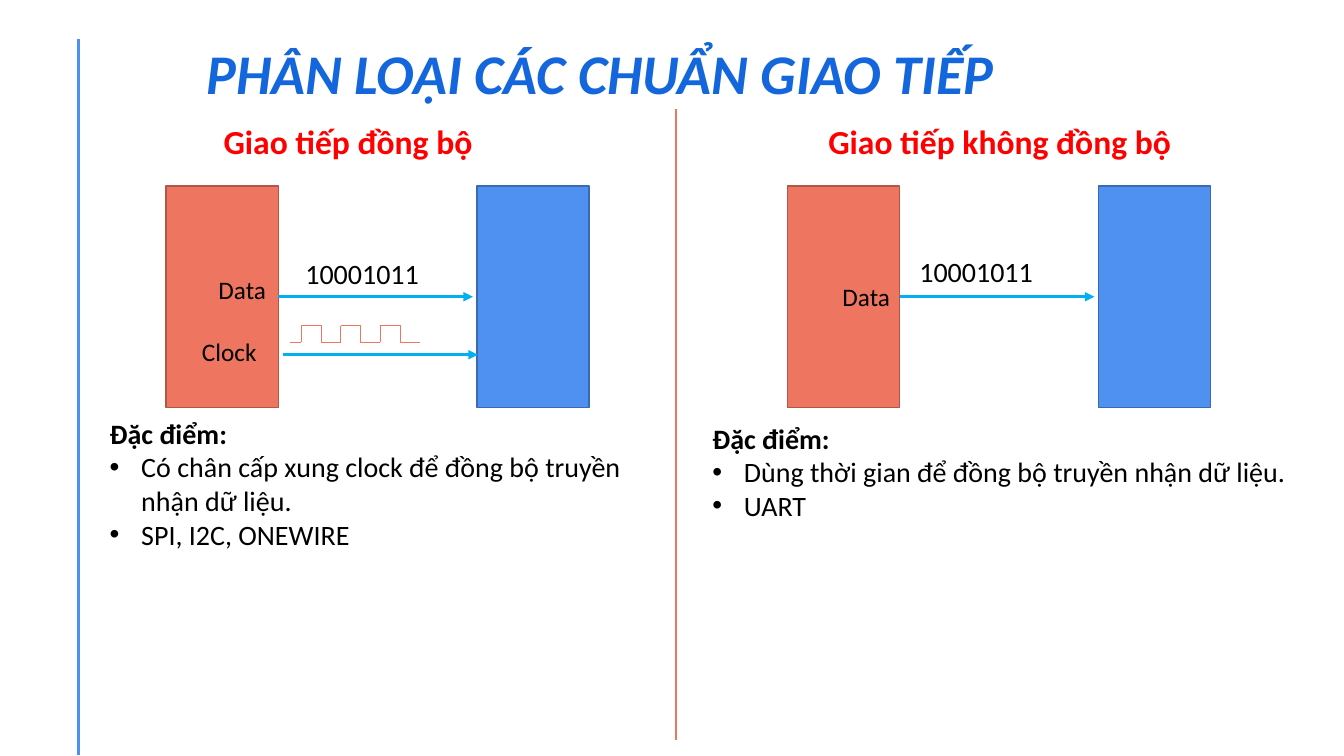
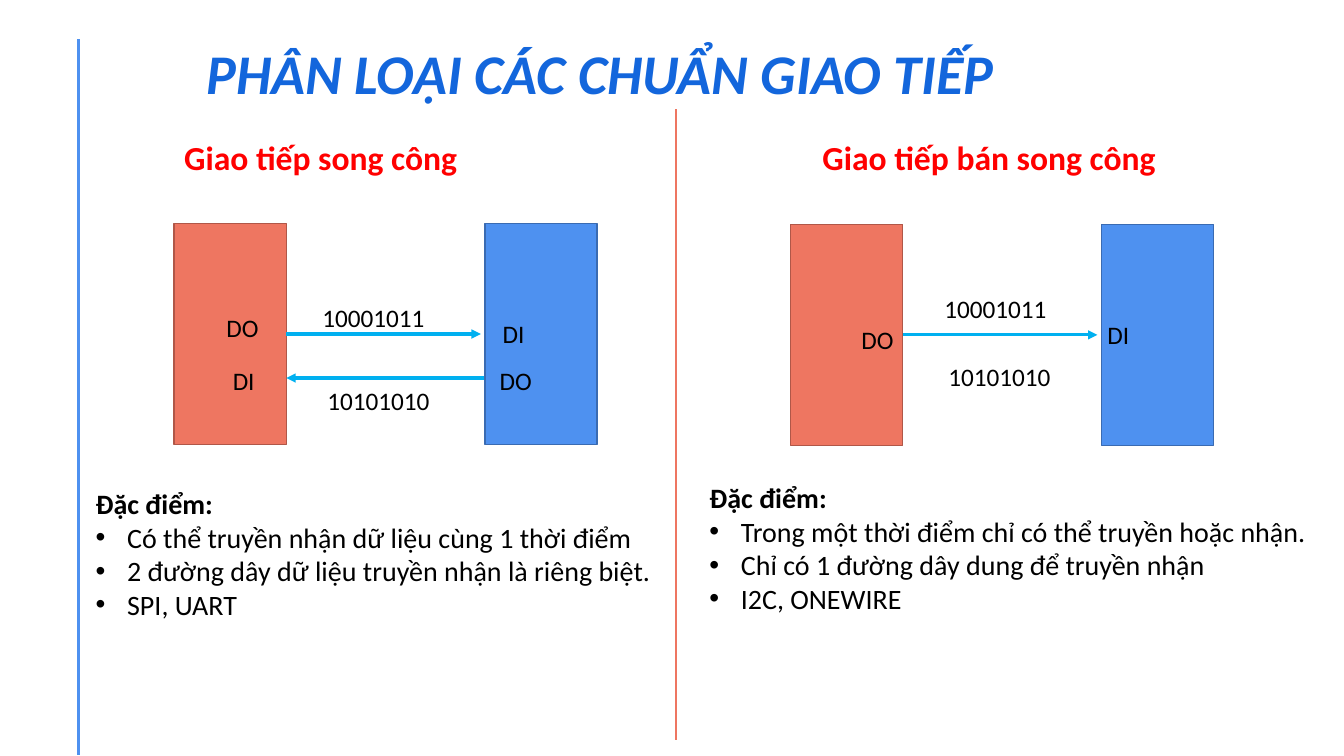
from dataclasses import dataclass
from typing import Any, Optional

import pptx
import pptx.dml.color
import pptx.enum.shapes
import pptx.enum.text
import pptx.oxml.ns
import pptx.util
from lxml import etree

Pt = pptx.util.Pt
RGBColor = pptx.dml.color.RGBColor
Connector = pptx.enum.shapes.MSO_CONNECTOR
Align = pptx.enum.text.PP_ALIGN
qn = pptx.oxml.ns.qn

FONT = "Calibri"
BLACK = RGBColor(0x00, 0x00, 0x00)
RED = RGBColor(0xFF, 0x00, 0x00)
TITLE_BLUE = RGBColor(0x13, 0x66, 0xDC)
CORAL = RGBColor(0xEE, 0x76, 0x61)
CORAL_EDGE = RGBColor(0xB0, 0x57, 0x48)
BLUE = RGBColor(0x4E, 0x91, 0xF0)
BLUE_EDGE = RGBColor(0x3A, 0x6B, 0xB2)
SIGNAL = RGBColor(0x00, 0xB0, 0xF0)

TITLE = "PHÂN LOẠI CÁC CHUẨN GIAO TIẾP"
FEATURES = "Đặc điểm:"
DEVICE_WIDTH, DEVICE_HEIGHT = 80.2, 158
RECEIVER_OFFSET = 222
ARROW_LENGTH = 139
PULSE_WIDTH, PULSE_HEIGHT, PULSE_COUNT = 28.2, 11.8, 3
PULSE_LEAD = 8
BULLET_INDENT = 22.5


@dataclass(frozen=True)
class Box:
    left: float
    top: float
    width: float
    height: float


@dataclass(frozen=True)
class Segment:
    x1: float
    y1: float
    x2: float
    y2: float


@dataclass(frozen=True)
class Label:
    text: str
    left: float
    top: float
    size: float = 18
    width: float = 53.3


@dataclass(frozen=True)
class Panel:
    heading: str
    heading_box: Box
    sender_left: float
    sender_top: float
    labels: tuple[Label, ...]
    features: tuple[str, ...]
    features_box: Box
    extra_arrow: Optional[Segment] = None
    clock_start: Optional[tuple[float, float]] = None


def fill_text(frame: Any, lines: list[str], *, size: float,
              color: RGBColor = BLACK, bold: bool = False,
              italic: bool = False, align: Align = Align.LEFT,
              spacing: Optional[float] = None, after: float = 0,
              bulleted_after_first: bool = False) -> None:
    frame.word_wrap = True
    frame.vertical_anchor = pptx.enum.text.MSO_ANCHOR.TOP
    frame.auto_size = pptx.enum.text.MSO_AUTO_SIZE.NONE
    for index, line in enumerate(lines):
        paragraph = frame.paragraphs[0] if index == 0 else frame.add_paragraph()
        paragraph.alignment = align
        paragraph.space_after = Pt(after)
        if spacing:
            paragraph.line_spacing = spacing
        run = paragraph.add_run()
        run.text = line
        font = run.font
        font.name, font.size = FONT, Pt(size)
        font.bold, font.italic = bold, italic
        font.color.rgb = color
        if bulleted_after_first and index:
            font.bold = False
            add_bullet(paragraph)


def add_bullet(paragraph: Any) -> None:
    properties = paragraph._p.get_or_add_pPr()
    properties.set("marL", str(Pt(BULLET_INDENT)))
    properties.set("indent", str(Pt(-BULLET_INDENT)))
    etree.SubElement(properties, qn("a:buFont"), typeface="Arial")
    etree.SubElement(properties, qn("a:buChar"), char="•")


def add_text(slide: Any, box: Box, lines: list[str], **style: Any) -> None:
    textbox = slide.shapes.add_textbox(
        Pt(box.left), Pt(box.top), Pt(box.width), Pt(box.height))
    fill_text(textbox.text_frame, lines, **style)


def add_line(slide: Any, segment: Segment, color: RGBColor, width: float,
             kind: Connector = Connector.STRAIGHT, arrow: bool = False) -> Any:
    line = slide.shapes.add_connector(
        kind, Pt(segment.x1), Pt(segment.y1), Pt(segment.x2), Pt(segment.y2))
    line.line.color.rgb = color
    line.line.width = Pt(width)
    properties = line.element.spPr
    if arrow:
        etree.SubElement(properties.find(qn("a:ln")), qn("a:tailEnd"), type="triangle")
    etree.SubElement(properties, qn("a:effectLst"))
    return line


def add_device(slide: Any, left: float, top: float,
               fill: RGBColor, edge: RGBColor) -> Any:
    device = slide.shapes.add_shape(
        pptx.enum.shapes.MSO_SHAPE.RECTANGLE,
        Pt(left), Pt(top), Pt(DEVICE_WIDTH), Pt(DEVICE_HEIGHT))
    device.shadow.inherit = False
    device.fill.solid()
    device.fill.fore_color.rgb = fill
    device.line.color.rgb = edge
    device.line.width = Pt(1)
    return device


def add_clock(slide: Any, left: float, top: float) -> None:
    bottom = top + PULSE_HEIGHT
    add_line(slide, Segment(left, bottom, left - PULSE_LEAD, bottom), CORAL, 0.5)
    for index in range(PULSE_COUNT):
        start = left + index * PULSE_WIDTH
        add_line(slide, Segment(start, top, start, bottom), CORAL, 0.5)
        add_line(slide, Segment(start, top, start + PULSE_WIDTH, bottom),
                 CORAL, 0.5, kind=Connector.ELBOW)


def add_panel(slide: Any, panel: Panel) -> None:
    add_text(slide, panel.heading_box, [panel.heading], size=24, color=RED, bold=True)
    sender = add_device(slide, panel.sender_left, panel.sender_top, CORAL, CORAL_EDGE)
    add_device(slide, panel.sender_left + RECEIVER_OFFSET, panel.sender_top,
               BLUE, BLUE_EDGE)
    start = panel.sender_left + DEVICE_WIDTH
    middle = panel.sender_top + DEVICE_HEIGHT / 2
    data_arrow = add_line(slide, Segment(start, middle, start + ARROW_LENGTH, middle),
                          SIGNAL, 2.25, arrow=True)
    data_arrow.begin_connect(sender, 3)
    if panel.extra_arrow:
        add_line(slide, panel.extra_arrow, SIGNAL, 2.25, arrow=True)
    if panel.clock_start:
        add_clock(slide, *panel.clock_start)
    for label in panel.labels:
        add_text(slide, Box(label.left, label.top, label.width, 29),
                 [label.text], size=label.size)
    add_text(slide, panel.features_box, [FEATURES, *panel.features],
             size=20, bold=True, bulleted_after_first=True)


def add_title(slide: Any) -> None:
    title = slide.shapes.title
    title.left, title.top = Pt(140.4), Pt(0)
    title.width, title.height = Pt(703.4), Pt(72.7)
    fill_text(title.text_frame, [TITLE], size=40, color=TITLE_BLUE, bold=True,
              italic=True, align=Align.JUSTIFY, spacing=1.5, after=8)


def move_to_layout(line: Any, layout: Any) -> None:
    line.element.nvCxnSpPr.cNvPr.set("id", "100")
    layout.shapes.element.append(line.element)


SLIDES = (
    (
        Panel(
            "Giao tiếp đồng bộ", Box(152.6, 82.8, 480, 36), 118.6, 133,
            (Label("Data", 149, 192.2),
             Label("Clock", 137.2, 236.8, width=64.8),
             Label("10001011", 211, 180, 20, 106.6)),
            ("Có chân cấp xung clock để đồng bộ truyền nhận dữ liệu.",
             "SPI, I2C, ONEWIRE"),
            Box(71.3, 293.8, 386, 104.4),
            extra_arrow=Segment(202.3, 253.4, 341.3, 253.4),
            clock_start=(215.2, 232.7),
        ),
        Panel(
            "Giao tiếp không đồng bộ", Box(584.6, 82.8, 480, 36), 562.5, 133,
            (Label("Data", 594.7, 197.2),
             Label("10001011", 649.6, 178, 20, 106.6)),
            ("Dùng thời gian để đồng bộ truyền nhận dữ liệu.", "UART"),
            Box(501.8, 297.2, 443.5, 80),
        ),
    ),
    (
        Panel(
            "Giao tiếp song công", Box(124.5, 94.4, 341.3, 36), 124.3, 159.6,
            (Label("DO", 154.6, 219.5),
             Label("DI", 352, 224),
             Label("DO", 349.8, 257.6),
             Label("DI", 159.2, 257.2),
             Label("10001011", 223.2, 212.4, width=106.6),
             Label("10101010", 226.8, 271.6, width=106.6)),
            ("Có thể truyền nhận dữ liệu cùng 1 thời điểm",
             "2 đường dây dữ liệu truyền nhận là riêng biệt.",
             "SPI, UART"),
            Box(61.2, 344, 416.2, 104.4),
            extra_arrow=Segment(345.8, 270, 204.5, 270),
        ),
        Panel(
            "Giao tiếp bán song công", Box(580.4, 94.4, 480, 36), 564.7, 160.2,
            (Label("DO", 608.2, 228.2),
             Label("DI", 784, 224.6),
             Label("10001011", 667.5, 206, width=106.6),
             Label("10101010", 670.3, 254.2, width=106.6)),
            ("Trong một thời điểm chỉ có thể truyền hoặc nhận.",
             "Chỉ có 1 đường dây dung để truyền nhận",
             "I2C, ONEWIRE"),
            Box(499.7, 339.8, 460, 104.4),
        ),
    ),
)


def main() -> None:
    presentation = pptx.Presentation()
    presentation.slide_width, presentation.slide_height = Pt(960), Pt(540)
    title_only = presentation.slide_layouts[5]
    for number, panels in enumerate(SLIDES):
        slide = presentation.slides.add_slide(title_only)
        if number == 0:
            rail = add_line(slide, Segment(56.2, 28, 56.2, 539.5), BLUE, 2)
            move_to_layout(rail, title_only)
        add_title(slide)
        add_line(slide, Segment(482.6, 78, 482.6, 528.5), CORAL, 1.5)
        for panel in panels:
            add_panel(slide, panel)
    presentation.save("out.pptx")


if __name__ == "__main__":
    main()
